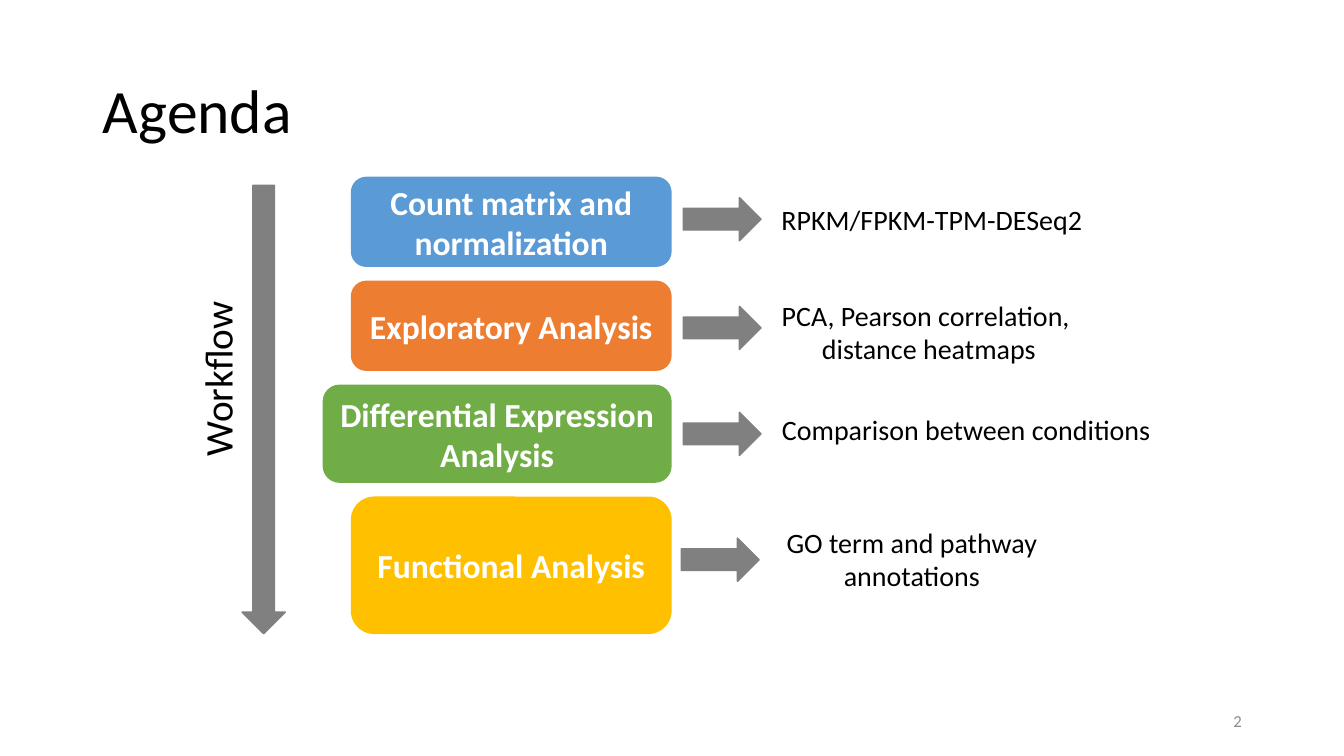
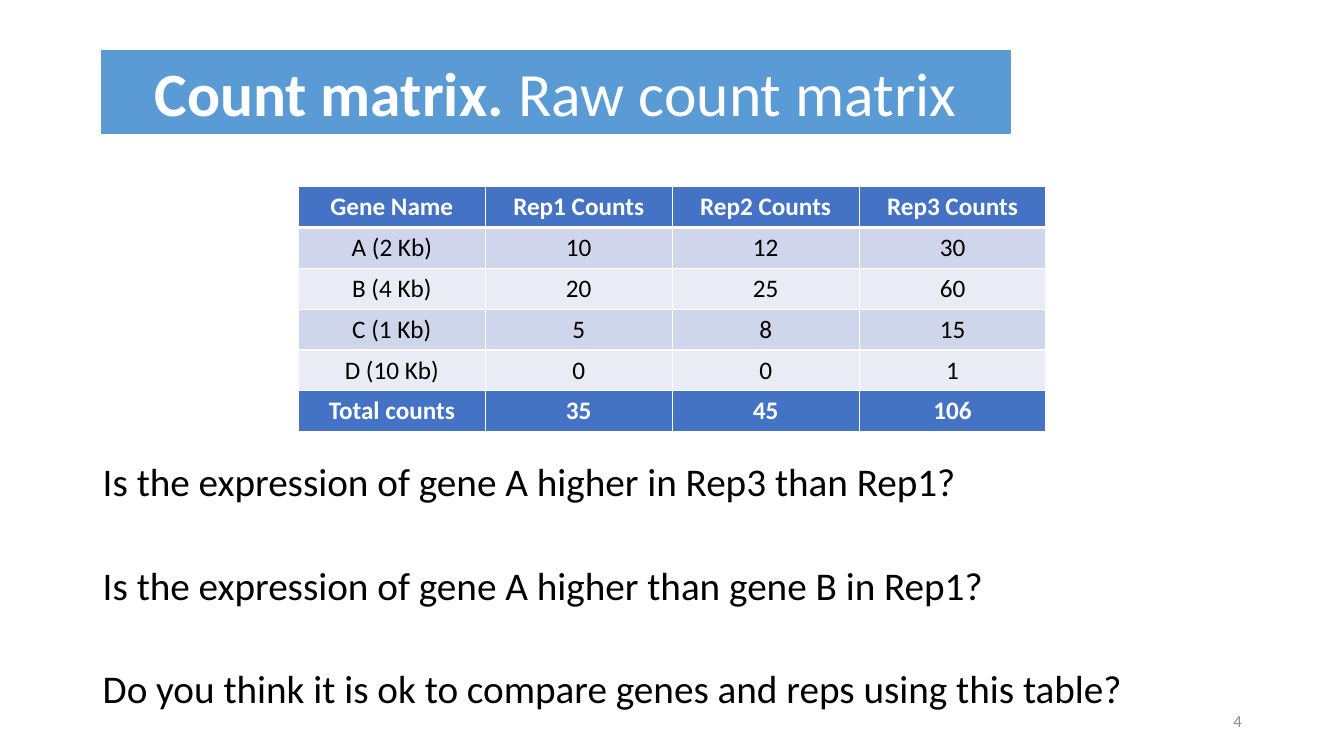
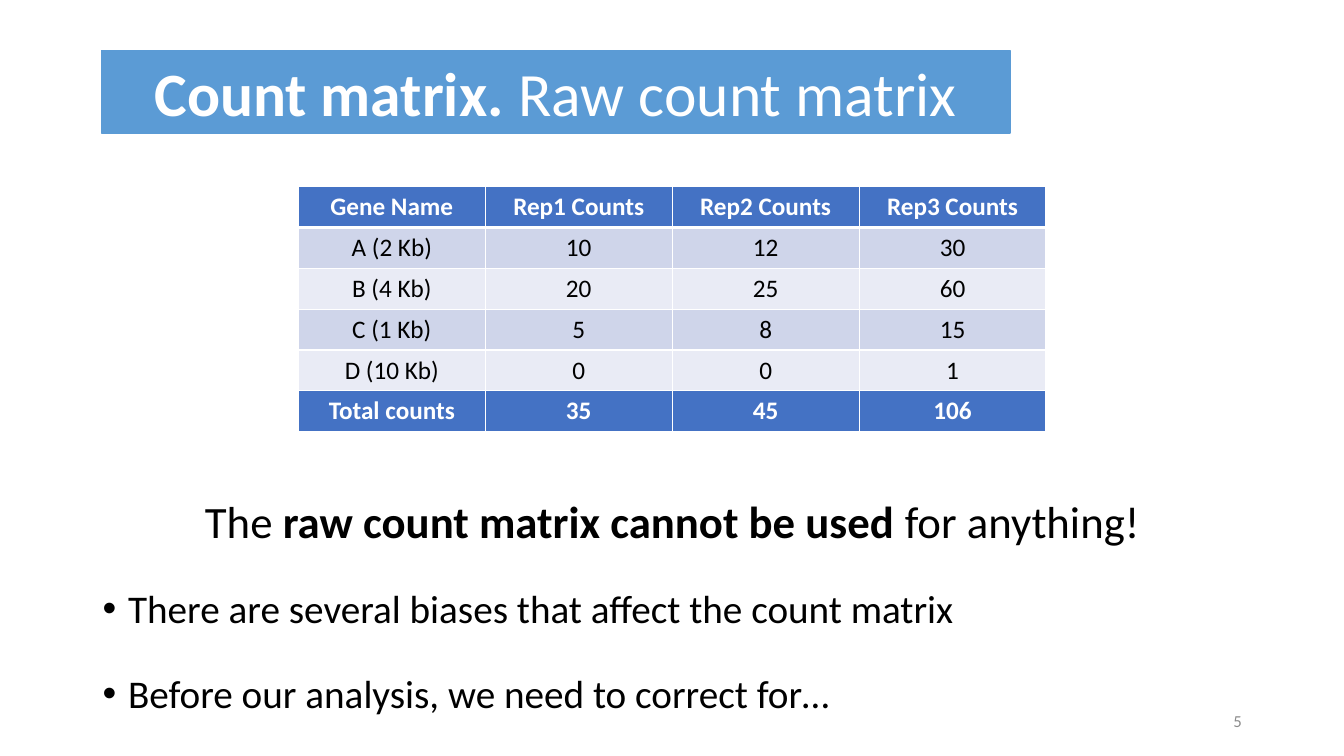
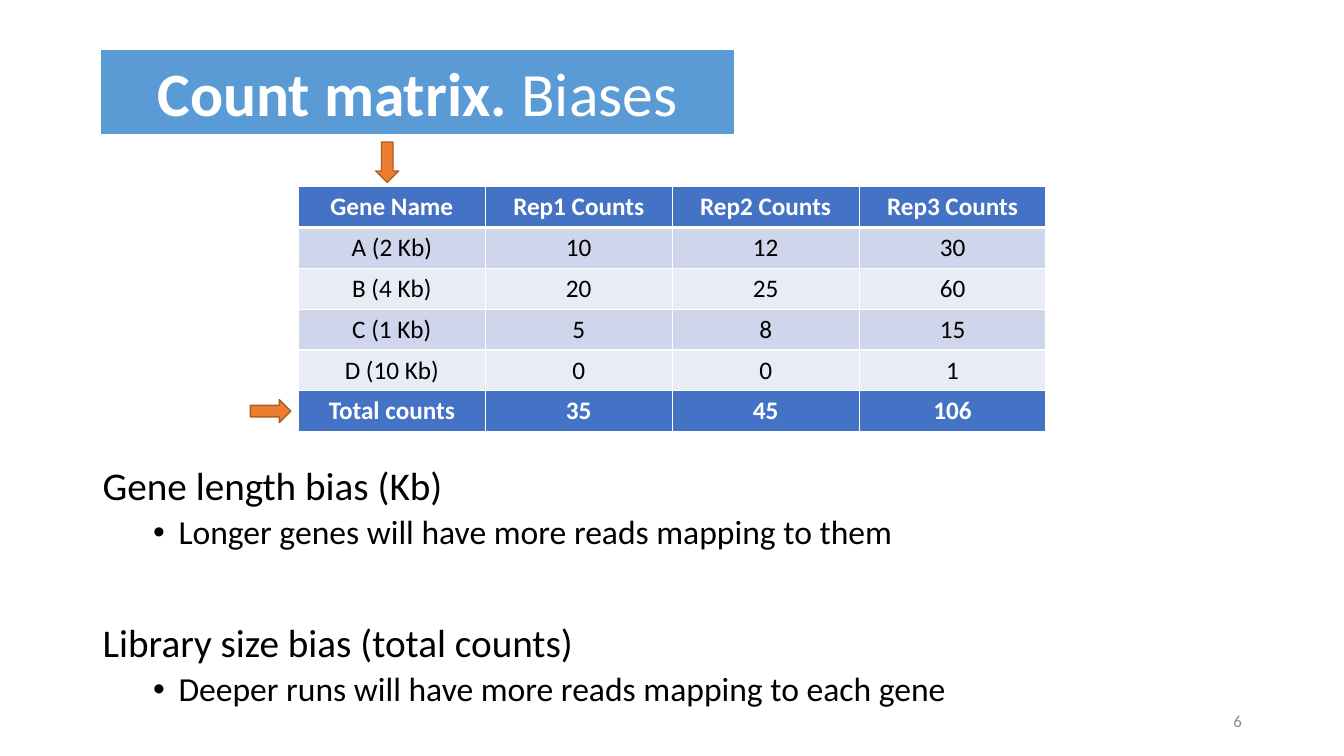
from lxml import etree
from pptx import Presentation
from pptx.dml.color import RGBColor
from pptx.enum.shapes import MSO_SHAPE
from pptx.enum.text import MSO_ANCHOR, MSO_AUTO_SIZE, PP_ALIGN
from pptx.oxml.ns import qn
from pptx.util import Cm, Pt

ROUND = MSO_SHAPE.ROUNDED_RECTANGLE
RIGHT_ARROW = MSO_SHAPE.RIGHT_ARROW
DOWN_ARROW = MSO_SHAPE.DOWN_ARROW
CENTER = PP_ALIGN.CENTER
LEFT = PP_ALIGN.LEFT
RIGHT = PP_ALIGN.RIGHT
MIDDLE = MSO_ANCHOR.MIDDLE
TOP = MSO_ANCHOR.TOP
NO_FIT = MSO_AUTO_SIZE.NONE

FONT = "Calibri"
TITLE_ONLY = 5
COLORS = {
    "black": "000000",
    "white": "FFFFFF",
    "number": "8C8C8C",
    "gray": "808080",
    "blue": "5B9BD5",
    "orange": "ED7D31",
    "dark_orange": "AF5C24",
    "green": "70AD47",
    "gold": "FFC000",
    "header": "4472C4",
    "band_dark": "CFD5EA",
    "band_light": "E9EBF5",
}

TITLE_BOX = (2.34, 1.02, 29.21, 3.68)
BODY_BOX = (2.34, 11.63, 29.21, 6.68)
NUMBER_BOX = (23.93, 17.65, 7.62, 1.02)
TABLE_LEFT, TABLE_TOP = 7.52, 4.7
COL_WIDTH, ROW_HEIGHT = 4.71, 1.03

STEP_TOP, STEP_RIGHT, STEP_GAP = 4.47, 16.91, 0.38
LABEL_LEFT = 19.41
STEPS = [
    {"name": "Count matrix and normalization", "color": "blue", "size": (8.05, 2.24),
     "arrow": (17.22, 4.98), "label": ["RPKM/FPKM-TPM-DESeq2"],
     "label_box": (4.98, 8.15, 1.12), "wrap": False},
    {"name": "Exploratory Analysis", "color": "orange", "size": (8.05, 2.24),
     "arrow": (17.22, 7.72), "label": ["PCA, Pearson correlation, ", "distance heatmaps"],
     "label_box": (7.39, 8, 1.96), "wrap": False},
    {"name": "Differential Expression Analysis", "color": "green", "size": (8.76, 2.44),
     "arrow": (17.22, 10.39), "label": ["Comparison between conditions"],
     "label_box": (10.26, 9.88, 1.12), "wrap": False},
    {"name": "Functional Analysis", "color": "gold", "size": (8.05, 3.43),
     "arrow": (17.17, 13.56), "label": ["GO term and pathway annotations"],
     "label_box": (13.11, 7.14, 1.96), "wrap": True},
]

COUNTS = [
    ("Gene Name", "Rep1 Counts", "Rep2 Counts", "Rep3 Counts"),
    ("A (2 Kb)", "10", "12", "30"),
    ("B (4 Kb)", "20", "25", "60"),
    ("C (1 Kb)", "5", "8", "15"),
    ("D (10 Kb)", "0", "0", "1"),
    ("Total counts", "35", "45", "106"),
]


def rgb(name):
    return RGBColor.from_string(COLORS[name])


def set_attrs(obj, fmt):
    for key, value in fmt.items():
        setattr(obj, key, value)


def place(sp, box):
    set_attrs(sp, dict(zip(("left", "top", "width", "height"), map(Cm, box))))


def add_bullet(p, indent):
    pPr = p._p.get_or_add_pPr()
    pPr.set("marL", str(Cm(indent)))
    pPr.set("indent", str(-Cm(0.64)))
    etree.SubElement(pPr, qn("a:buFont")).set("typeface", "Arial")
    etree.SubElement(pPr, qn("a:buChar")).set("char", "•")


def para(*runs, size=28, color="black", indent=None, **fmt):
    return {"runs": [(r, False) if isinstance(r, str) else r for r in runs],
            "size": size, "color": color, "indent": indent, "fmt": fmt}


def write(tf, paras):
    for i, item in enumerate(paras):
        p = tf.add_paragraph() if i else tf.paragraphs[0]
        set_attrs(p, item["fmt"])
        if item["indent"]:
            add_bullet(p, item["indent"])
        for text, bold in item["runs"]:
            r = p.add_run()
            r.text = text
            set_attrs(r.font, {"name": FONT, "size": Pt(item["size"]), "bold": bold})
            r.font.color.rgb = rgb(item["color"])


def paint(sp, fill, line):
    sp.fill.solid()
    sp.fill.fore_color.rgb = rgb(fill)
    sp.line.color.rgb = rgb(line)
    sp.line.width = Pt(1)


def add_box(s, kind, box, fill, line=None):
    sp = s.shapes.add_shape(kind, *map(Cm, box))
    sp.shadow.inherit = False
    paint(sp, fill, line or fill)
    return sp


def add_text(s, box, paras, anchor=TOP, wrap=True):
    sp = s.shapes.add_textbox(*map(Cm, box))
    set_attrs(sp.text_frame, {"word_wrap": wrap, "auto_size": NO_FIT,
                              "vertical_anchor": anchor})
    write(sp.text_frame, paras)
    return sp


def add_slide(prs, number, title_box, title):
    s = prs.slides.add_slide(prs.slide_layouts[TITLE_ONLY])
    sp = s.shapes.title
    place(sp, title_box)
    set_attrs(sp.text_frame, {"auto_size": NO_FIT, "vertical_anchor": MIDDLE})
    write(sp.text_frame, [title])
    add_text(s, NUMBER_BOX, [para(str(number), size=12, color="number", alignment=RIGHT)],
             MIDDLE)
    return s


def add_border(tcPr, side, width):
    ln = etree.SubElement(tcPr, qn("a:" + side), w=str(Pt(width)))
    fill = etree.SubElement(ln, qn("a:solidFill"))
    etree.SubElement(fill, qn("a:srgbClr"), val=COLORS["white"])


def add_count_table(s):
    rows, cols = len(COUNTS), len(COUNTS[0])
    box = (TABLE_LEFT, TABLE_TOP, cols * COL_WIDTH, rows * ROW_HEIGHT)
    table = s.shapes.add_table(rows, cols, *map(Cm, box)).table
    for col in table.columns:
        col.width = Cm(COL_WIDTH)
    for i, values in enumerate(COUNTS):
        table.rows[i].height = Cm(ROW_HEIGHT)
        strong = i in (0, rows - 1)
        fill = "header" if strong else "band_dark" if i % 2 else "band_light"
        widths = {"lnL": 1, "lnR": 1, "lnT": 3 if i == 1 else 1, "lnB": 1 if i else 3}
        for j, value in enumerate(values):
            cell = table.cell(i, j)
            for side, width in widths.items():
                add_border(cell._tc.get_or_add_tcPr(), side, width)
            cell.fill.solid()
            cell.fill.fore_color.rgb = rgb(fill)
            write(cell.text_frame, [para((value, strong), size=18, alignment=CENTER,
                                         color="white" if strong else "black")])


def add_count_slide(prs, number, topic, banner_width, body):
    title = para(("Count matrix. ", True), topic, size=44, color="white", alignment=CENTER)
    s = add_slide(prs, number, (2.56, 1.27, banner_width, 2.08), title)
    banner = s.shapes.title
    geom = etree.SubElement(banner._element.spPr, qn("a:prstGeom"), prst="roundRect")
    etree.SubElement(geom, qn("a:avLst"))
    paint(banner, "blue", "blue")
    add_count_table(s)
    add_text(s, BODY_BOX, body)
    return s


def add_agenda(prs):
    title = para("Agenda", size=44, alignment=LEFT, line_spacing=0.9)
    s = add_slide(prs, 2, TITLE_BOX, title)
    add_box(s, DOWN_ARROW, (6.1, 4.67, 1.09, 11.3), "gray")
    add_text(s, (3.25, 8.79, 4.45, 1.45), [para("Workflow")], wrap=False).rotation = 270
    top = STEP_TOP
    for step in STEPS:
        width, height = step["size"]
        sp = add_box(s, ROUND, (STEP_RIGHT - width, top, width, height), step["color"])
        set_attrs(sp.text_frame, {"word_wrap": True, "vertical_anchor": MIDDLE})
        write(sp.text_frame, [para((step["name"], True), size=24, color="white",
                                   alignment=CENTER)])
        add_box(s, RIGHT_ARROW, (*step["arrow"], 1.96, 1.09), "gray")
        add_text(s, (LABEL_LEFT, *step["label_box"]),
                 [para(line, size=20, alignment=CENTER) for line in step["label"]],
                 wrap=step["wrap"])
        top += height + STEP_GAP


def add_questions(prs):
    questions = ["Is the expression of gene A higher in Rep3 than Rep1?",
                 "Is the expression of gene A higher than gene B in Rep1?",
                 "Do you think it is ok to compare genes and reps using this table?"]
    body = [para(q, line_spacing=0.8, space_before=Pt(47 if i else 10))
            for i, q in enumerate(questions)]
    add_count_slide(prs, 4, "Raw count matrix", 22.89, body)


def add_warning(prs):
    spacing = {"line_spacing": 1.5, "space_before": Pt(10)}
    body = [para("The ", ("raw count matrix cannot be used ", True), "for anything!",
                 size=32, alignment=CENTER, **spacing)]
    body += [para(text, indent=0.64, **spacing)
             for text in ("There are several biases that affect the count matrix",
                          "Before our analysis, we need to correct for…")]
    add_count_slide(prs, 5, "Raw count matrix", 22.89, body)


def add_biases(prs):
    biases = [("Gene length bias (Kb)", "Longer genes will have more reads mapping to them", 10),
              ("Library size bias (total counts)",
               "Deeper runs will have more reads mapping to each gene", 51)]
    body = []
    for name, effect, before in biases:
        body += [para(name, line_spacing=0.9, space_before=Pt(before)),
                 para(effect, size=24, indent=1.91, level=1, line_spacing=0.9,
                      space_before=Pt(5))]
    s = add_count_slide(prs, 6, "Biases", 15.93, body)
    add_box(s, DOWN_ARROW, (9.47, 3.58, 0.58, 1.02), "orange", "dark_orange")
    add_box(s, RIGHT_ARROW, (6.31, 10.07, 1.02, 0.58), "orange", "dark_orange")


def main():
    prs = Presentation()
    set_attrs(prs, {"slide_width": Cm(33.87), "slide_height": Cm(19.05)})
    for build in (add_agenda, add_questions, add_warning, add_biases):
        build(prs)
    prs.save("out.pptx")


if __name__ == "__main__":
    main()
